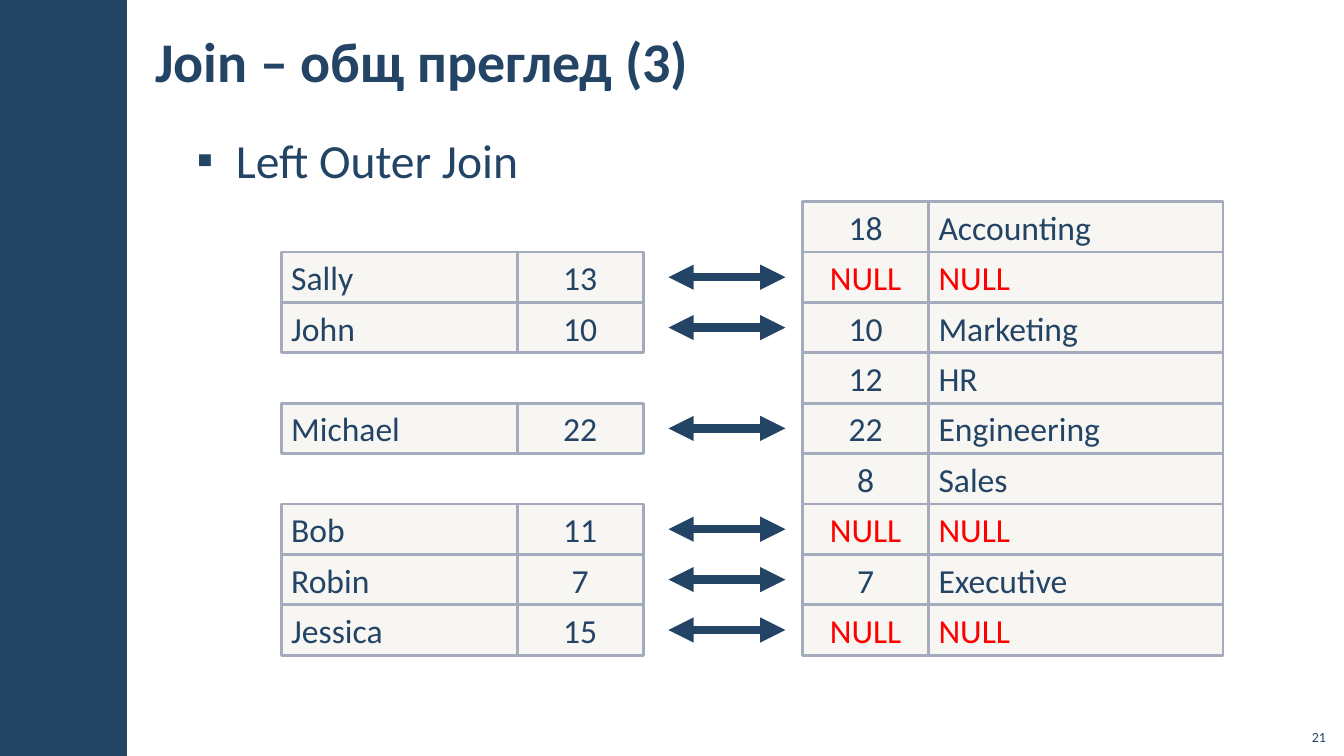
from dataclasses import dataclass

import pptx
import pptx.dml.color
import pptx.enum.shapes
import pptx.enum.text
import pptx.oxml
import pptx.oxml.ns
import pptx.util
from lxml import etree

Inches = pptx.util.Inches
Pt = pptx.util.Pt
Align = pptx.enum.text.PP_ALIGN
Anchor = pptx.enum.text.MSO_ANCHOR


@dataclass(frozen=True)
class Theme:
    font: str = "Calibri"
    navy: str = "234465"
    cell_fill: str = "D9D5C7"
    cell_opacity: int = 20
    cell_line: str = "A3ABBC"
    missing: str = "FF0000"
    title_size: int = 40
    bullet_size: int = 34
    cell_size: int = 24
    number_size: int = 10
    cell_line_width: int = 2
    arrow_width: int = 6


THEME = Theme()
WIDTH, HEIGHT = 13.33, 7.5
ROW_TOP, ROW_HEIGHT = 2, 0.5
EMPLOYEES_LEFT, EMPLOYEE_COLUMNS = 2.79, (2.34, 1.25)
DEPARTMENTS_LEFT, DEPARTMENT_COLUMNS = 7.96, (1.25, 2.92)
ARROWS_LEFT, ARROWS_RIGHT = 6.63, 7.79

# Each employee stands on the same row as the joined department.
JOIN_ROWS = [
    (None, ("18", "Accounting")),
    (("Sally", "13"), ("NULL", "NULL")),
    (("John", "10"), ("10", "Marketing")),
    (None, ("12", "HR")),
    (("Michael", "22"), ("22", "Engineering")),
    (None, ("8", "Sales")),
    (("Bob", "11"), ("NULL", "NULL")),
    (("Robin", "7"), ("7", "Executive")),
    (("Jessica", "15"), ("NULL", "NULL")),
]


def rgb(color):
    return pptx.dml.color.RGBColor.from_string(color)


def add_child(parent, tag, **attributes):
    child = etree.SubElement(parent, pptx.oxml.ns.qn(tag))
    for name, value in attributes.items():
        child.set(name, value)
    return child


def write(shape, text, size, color=THEME.navy, bold=False, align=Align.LEFT,
          anchor=Anchor.MIDDLE):
    """Put one formatted paragraph in a shape and return the paragraph."""
    frame = shape.text_frame
    frame.text = text
    frame.word_wrap = True
    frame.auto_size = pptx.enum.text.MSO_AUTO_SIZE.NONE
    frame.vertical_anchor = anchor
    paragraph = frame.paragraphs[0]
    paragraph.alignment = align
    font = paragraph.runs[0].font
    font.name, font.size, font.bold = THEME.font, Pt(size), bold
    font.color.rgb = rgb(color)
    return paragraph


def place(placeholder, box):
    placeholder.left, placeholder.top, placeholder.width, placeholder.height = map(Inches, box)
    frame = placeholder.text_frame
    frame.margin_left = frame.margin_right = Inches(0.12)
    frame.margin_top = frame.margin_bottom = Inches(0.04)


def add_rectangle(slide, box, fill):
    rectangle = slide.shapes.add_shape(
        pptx.enum.shapes.MSO_SHAPE.RECTANGLE, *map(Inches, box))
    rectangle.shadow.inherit = False
    rectangle.fill.solid()
    rectangle.fill.fore_color.rgb = rgb(fill)
    return rectangle


def add_side_band(slide, box):
    add_rectangle(slide, box, THEME.navy).line.fill.background()


def add_heading(slide, title_box, body_box):
    title, body = slide.shapes.title, slide.placeholders[1]
    place(title, title_box)
    write(title, "Join – общ преглед (3)", THEME.title_size, bold=True)
    place(body, body_box)
    bullet = write(body, "Left Outer Join", THEME.bullet_size, anchor=Anchor.TOP)
    bullet.line_spacing = 1.05
    bullet.space_before = bullet.space_after = Pt(6)
    properties = bullet._p.get_or_add_pPr()
    indent = Inches(0.39)
    properties.set("marL", str(indent))
    properties.set("indent", str(-indent))
    add_child(properties, "a:buChar", char="▪")


def add_cell(slide, box, text):
    cell = add_rectangle(slide, box, THEME.cell_fill)
    fill_color = cell._element.spPr.find(pptx.oxml.ns.qn("a:solidFill"))[0]
    add_child(fill_color, "a:alpha", val=str(THEME.cell_opacity * 1000))
    cell.line.color.rgb = rgb(THEME.cell_line)
    cell.line.width = Pt(THEME.cell_line_width)
    is_key = text.isdigit() or box[2] == DEPARTMENT_COLUMNS[0]
    write(cell, text, THEME.cell_size,
          color=THEME.missing if text == "NULL" else THEME.navy,
          align=Align.CENTER if is_key else Align.LEFT)


def add_record(slide, left, top, columns, values):
    for width, text in zip(columns, values):
        add_cell(slide, (left, top, width, ROW_HEIGHT), text)
        left += width


def add_join_arrow(slide, left, right, middle):
    arrow = slide.shapes.add_connector(
        pptx.enum.shapes.MSO_CONNECTOR.STRAIGHT,
        *map(Inches, (left, middle, right, middle)))
    arrow.line.color.rgb = rgb(THEME.navy)
    arrow.line.width = Pt(THEME.arrow_width)
    line = arrow.line._get_or_add_ln()
    add_child(line, "a:headEnd", type="triangle")
    add_child(line, "a:tailEnd", type="triangle")
    add_child(arrow._element.spPr, "a:effectLst")


def add_join_diagram(slide, top):
    for row, (employee, department) in enumerate(JOIN_ROWS):
        row_top = top + row * ROW_HEIGHT
        add_record(slide, DEPARTMENTS_LEFT, row_top, DEPARTMENT_COLUMNS, department)
        if employee:
            add_record(slide, EMPLOYEES_LEFT, row_top, EMPLOYEE_COLUMNS, employee)
            add_join_arrow(slide, ARROWS_LEFT, ARROWS_RIGHT, row_top + ROW_HEIGHT / 2)


def add_page_number(slide, box):
    number = slide.shapes.add_textbox(*map(Inches, box))
    write(number, "21", THEME.number_size, align=Align.RIGHT, anchor=Anchor.BOTTOM)


def main():
    deck = pptx.Presentation()
    deck.slide_width, deck.slide_height = Inches(WIDTH), Inches(HEIGHT)
    slide = deck.slides.add_slide(deck.slide_layouts[1])
    add_side_band(slide, (0, 0, 1.26, HEIGHT))
    add_heading(slide, (1.42, 0.11, 9.43, 0.97), (1.83, 1.23, 11.29, 6.07))
    add_join_diagram(slide, ROW_TOP)
    add_page_number(slide, (12.85, 7.12, 0.4, 0.32))
    deck.save("out.pptx")


if __name__ == "__main__":
    main()
